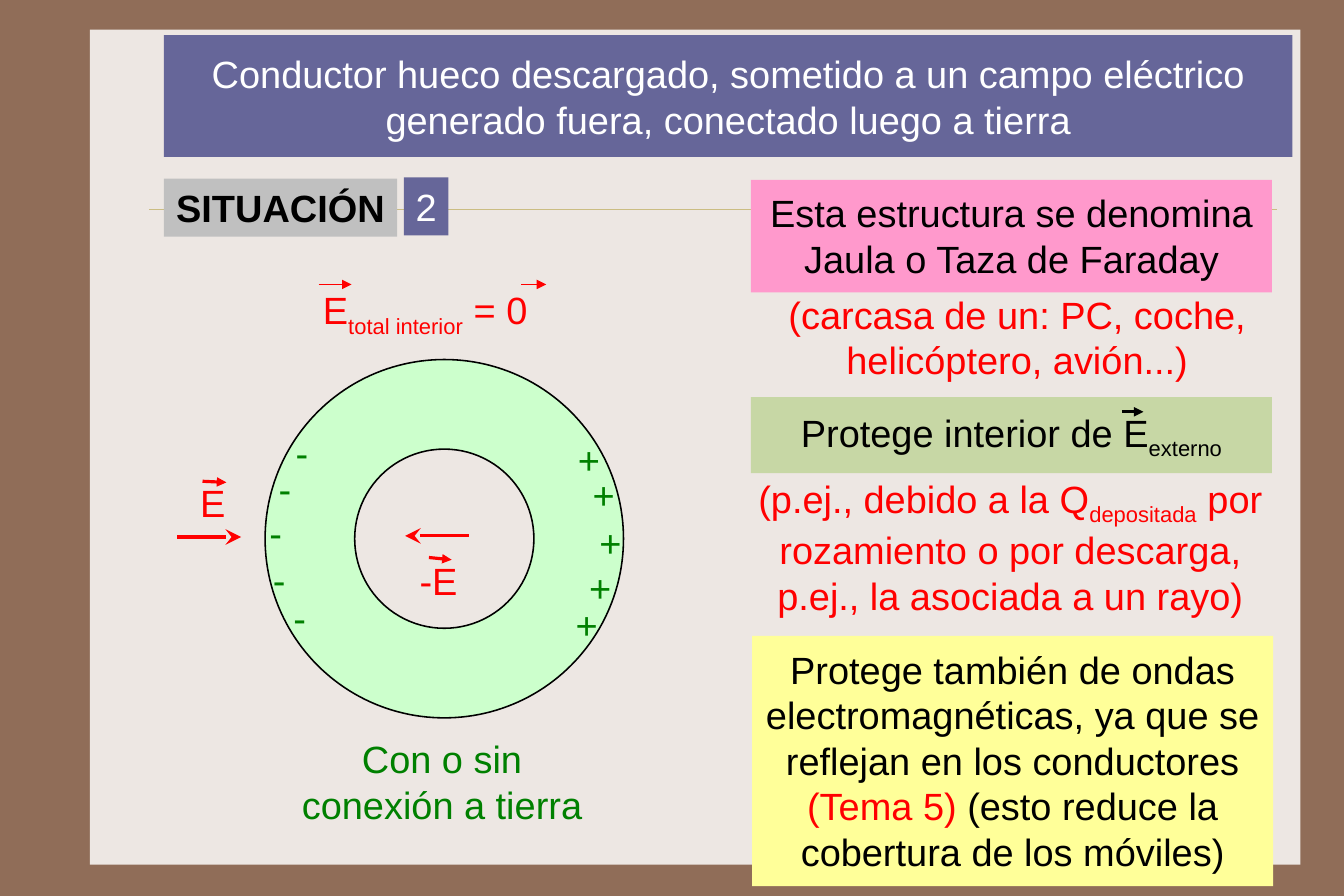
from dataclasses import dataclass
from typing import Optional

from lxml import etree
from pptx import Presentation
from pptx import util as u
from pptx.dml.color import RGBColor
from pptx.enum import shapes, text
from pptx.oxml import ns

BROWN = RGBColor(0x90, 0x6D, 0x58)
CREAM = RGBColor(0xED, 0xE7, 0xE3)
SAND = RGBColor(0xCB, 0xBD, 0x83)
MINT = RGBColor(0xCC, 0xFF, 0xCC)
PINK = RGBColor(0xFF, 0x99, 0xCC)
OLIVE = RGBColor(0xC7, 0xD7, 0xA5)
YELLOW = RGBColor(0xFF, 0xFF, 0x99)
GRAY = RGBColor(0xC0, 0xC0, 0xC0)
INDIGO = RGBColor(0x66, 0x66, 0x99)
GREEN = RGBColor(0x00, 0x80, 0x00)
RED = RGBColor(0xFF, 0x00, 0x00)
BLACK = RGBColor(0x00, 0x00, 0x00)
WHITE = RGBColor(0xFF, 0xFF, 0xFF)

TOP, MIDDLE = text.MSO_ANCHOR.TOP, text.MSO_ANCHOR.MIDDLE


@dataclass
class Run:
    text: str
    sub: bool = False
    color: Optional[RGBColor] = None


@dataclass
class Box:
    at: tuple[float, float, float, float]
    runs: list[Run]
    color: RGBColor
    fill: Optional[RGBColor] = None
    margin: float = 0.05
    anchor: text.MSO_ANCHOR = TOP
    center: bool = True
    wrap: bool = True
    bold: bool = False


@dataclass
class Line:
    start: tuple[float, float]
    end: tuple[float, float]
    color: RGBColor
    width: float
    head: Optional[str] = None
    head_size: str = "med"


def draw_shape(s, kind: shapes.MSO_SHAPE, at: tuple, fill: RGBColor,
               line: Optional[RGBColor] = None):
    sp = s.shapes.add_shape(kind, *map(u.Inches, at))
    sp.shadow.inherit = False
    sp.fill.solid()
    sp.fill.fore_color.rgb = fill
    if line is None:
        sp.line.fill.background()
    else:
        sp.line.color.rgb = line
        sp.line.width = u.Pt(1)
    return sp


def draw_box(s, box: Box) -> None:
    if box.fill is None:
        sp = s.shapes.add_textbox(*map(u.Inches, box.at))
    else:
        sp = draw_shape(s, shapes.MSO_SHAPE.RECTANGLE, box.at, box.fill)
    tf = sp.text_frame
    tf.word_wrap = box.wrap
    tf.vertical_anchor = box.anchor
    tf.margin_left = tf.margin_right = u.Inches(0.1)
    tf.margin_top = tf.margin_bottom = u.Inches(box.margin)
    if box.center:
        tf.auto_size = text.MSO_AUTO_SIZE.SHAPE_TO_FIT_TEXT
    p = tf.paragraphs[0]
    p.alignment = text.PP_ALIGN.CENTER if box.center else text.PP_ALIGN.LEFT
    p.font.name = "Arial"
    p.font.size = u.Pt(24)
    p.font.bold = box.bold
    p.font.color.rgb = box.color
    for run in box.runs:
        r = p.add_run()
        r.text = run.text
        if run.color is not None:
            r.font.color.rgb = run.color
        if run.sub:
            r._r.get_or_add_rPr().set("baseline", "-25000")


def draw_line(s, line: Line) -> None:
    c = s.shapes.add_connector(shapes.MSO_CONNECTOR.STRAIGHT,
                               *map(u.Inches, line.start + line.end))
    c.line.color.rgb = line.color
    c.line.width = u.Pt(line.width)
    if line.head:
        tail = etree.SubElement(c.line._get_or_add_ln(), ns.qn("a:tailEnd"))
        tail.set("type", line.head)
        tail.set("w", line.head_size)
        tail.set("len", line.head_size)
    etree.SubElement(c._element.spPr, ns.qn("a:effectLst"))


# Charges on the conductor: sign, box width, top-left corners
CHARGES = [
    ("+", 0.39, [(5.17, 4.52), (5.08, 4.91), (5.11, 4.1), (4.98, 3.79), (4.96, 5.24)]),
    ("-", 0.31, [(2.27, 4.43), (2.5, 3.73), (2.3, 4.84), (2.48, 5.18), (2.35, 4.04)]),
]

FIELD_LABELS = [
    Box((1.66, 4.17, 0.45, 0.43), [Run("E")], RED, center=False, wrap=False),
    Box((3.59, 4.85, 0.6, 0.43), [Run("-E")], RED, center=False, wrap=False),
    Box((2.74, 2.47, 2.1, 0.43),
        [Run("E"), Run("total interior", sub=True), Run(" = 0")],
        RED, center=False, wrap=False),
]

ARROWS = [
    Line((1.78, 4.23), (1.99, 4.24), RED, 2, "triangle"),
    Line((1.56, 4.72), (2.12, 4.72), RED, 2, "stealth", "lg"),
    Line((3.77, 4.9), (3.97, 4.92), RED, 2, "triangle"),
    Line((4.12, 4.71), (3.56, 4.71), RED, 2, "stealth", "lg"),
    Line((2.8, 2.5), (3.09, 2.5), RED, 1, "triangle"),
    Line((4.58, 2.5), (4.8, 2.5), RED, 1, "triangle"),
    Line((9.86, 3.62), (10.05, 3.62), BLACK, 2, "triangle"),
]

PANELS = [
    Box((6.6, 1.58, 4.58, 0.99),
        [Run("Esta estructura se denomina Jaula o Taza de Faraday")],
        BLACK, PINK, 0.09),
    Box((6.8, 2.51, 4.28, 0.91),
        [Run("(carcasa de un: PC, coche, helicóptero, avión...)")], RED),
    Box((6.6, 3.49, 4.58, 0.67),
        [Run("Protege interior de E"), Run("externo", sub=True)],
        BLACK, OLIVE, 0.13, MIDDLE),
    Box((6.41, 4.07, 4.94, 1.47),
        [Run("(p.ej., debido a la Q"), Run("depositada", sub=True),
         Run(" por rozamiento o por descarga, p.ej., la asociada a un rayo)")],
        RED, None, 0.13, MIDDLE),
    Box((6.61, 5.59, 4.58, 2.2),
        [Run("Protege también de ondas electromagnéticas, ya que se reflejan "
             "en los conductores "),
         Run("(Tema 5) ", color=RED),
         Run("(esto reduce la cobertura de los móviles)")],
        BLACK, YELLOW, 0.09),
    Box((2.4, 6.42, 2.97, 0.91), [Run("Con o sin conexión a tierra")], GREEN),
    Box((1.44, 1.57, 2.05, 0.51), [Run("SITUACIÓN")], BLACK, GRAY,
        anchor=MIDDLE, wrap=False, bold=True),
    Box((3.55, 1.56, 0.39, 0.51), [Run("2")], WHITE, INDIGO, wrap=False),
    Box((1.44, 0.31, 9.92, 1.07),
        [Run("Conductor hueco descargado, sometido a un campo eléctrico "
             "generado fuera, conectado luego a tierra")],
        WHITE, INDIGO, 0.13, MIDDLE),
]


def main() -> None:
    prs = Presentation()
    # A 3:2 page, 11.81 by 7.88 inches
    prs.slide_width, prs.slide_height = u.Pt(850.5), u.Pt(567)
    s = prs.slides.add_slide(prs.slide_layouts[6])

    # Backdrop
    s.background.fill.solid()
    s.background.fill.fore_color.rgb = BROWN
    draw_shape(s, shapes.MSO_SHAPE.RECTANGLE, (0.79, 0.26, 10.64, 7.34), CREAM)
    draw_line(s, Line((1.31, 1.84), (11.22, 1.84), SAND, 0.25))

    # Hollow conductor and its charges
    ring = draw_shape(s, shapes.MSO_SHAPE.DONUT, (2.33, 3.16, 3.15, 3.15), MINT, BLACK)
    ring.adjustments[0] = 0.25
    for sign, width, corners in CHARGES:
        for x, y in corners:
            draw_box(s, Box((x, y, width, 0.5), [Run(sign)], GREEN,
                            center=False, wrap=False))

    # Labels and panels, with the field arrows on top
    for box in FIELD_LABELS + PANELS:
        draw_box(s, box)
    for arrow in ARROWS:
        draw_line(s, arrow)

    prs.save("out.pptx")


if __name__ == "__main__":
    main()
